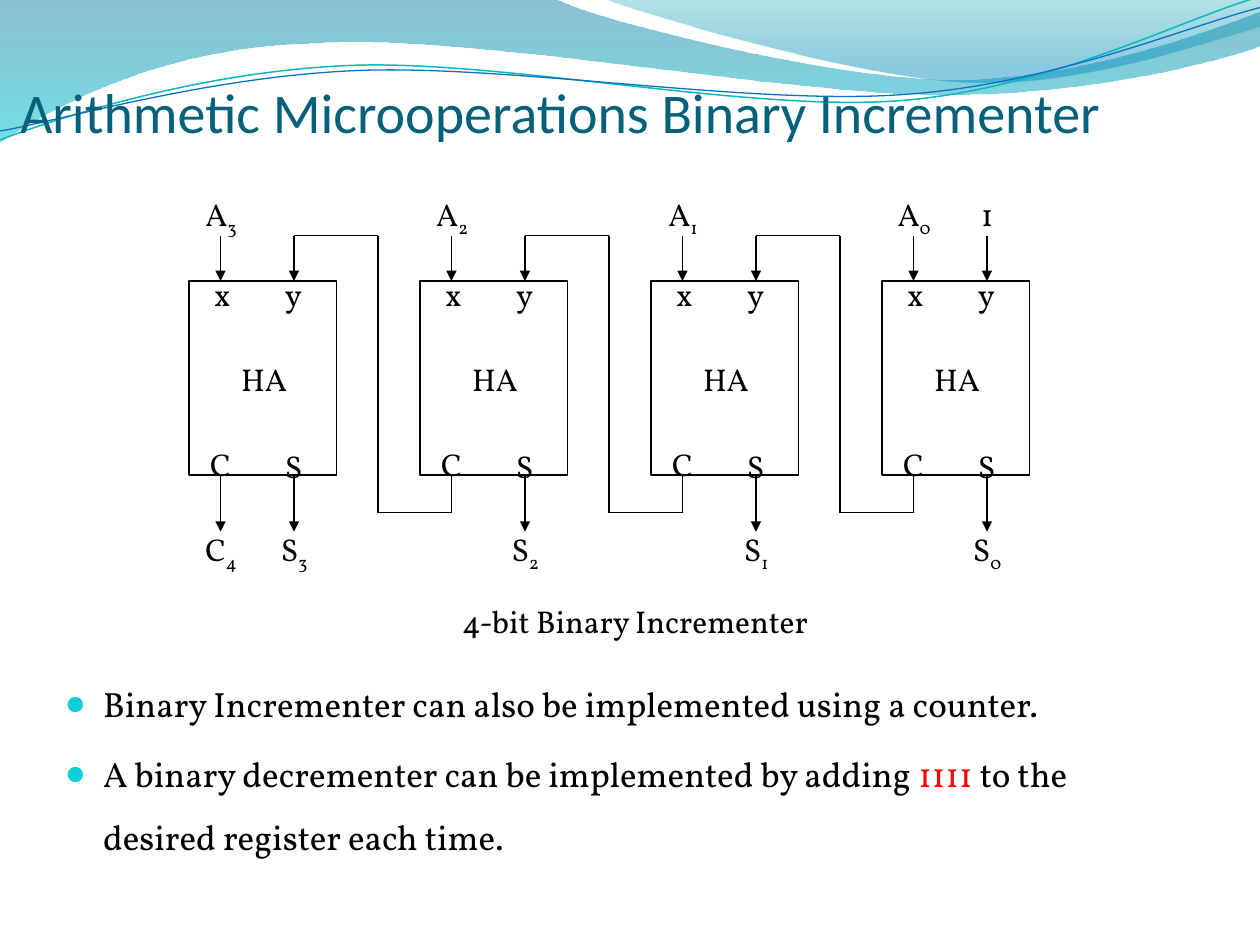
"""Build the slide on the 4-bit binary incrementer."""
from math import cos, radians, sin

from lxml import etree
from pptx import Presentation
from pptx.dml.color import RGBColor
from pptx.enum.shapes import MSO_CONNECTOR, MSO_SHAPE
from pptx.enum.text import MSO_ANCHOR, MSO_AUTO_SIZE, PP_ALIGN
from pptx.oxml.ns import qn
from pptx.util import Inches, Pt

COLORS = {
    "ink": "000000", "paper": "FFFFFF", "title": "04617B", "bullet": "0BD0D9",
    "accent": "FF0000", "teal_line": "0AB8BF", "blue_line": "0F6FC6",
    "wave_top": "0074A1", "wave_end": "00C6CF",
    "crest_top": "00A1A9", "crest_end": "008BBF",
}
RGB = {name: RGBColor.from_string(value) for name, value in COLORS.items()}
FONT = "Vollkorn"

prs = Presentation()
prs.slide_width, prs.slide_height = Inches(10), Inches(7.5)
slide = prs.slides.add_slide(prs.slide_layouts[6])
shapes = slide.shapes


def add_label(text, left, top, width, subscript=""):
    height = 0.46 if subscript else 0.39
    label = shapes.add_textbox(Inches(left), Inches(top), Inches(width), Inches(height))
    frame = label.text_frame
    frame.word_wrap = True
    frame.auto_size = MSO_AUTO_SIZE.SHAPE_TO_FIT_TEXT
    line = frame.paragraphs[0]
    line.text = text
    line.alignment = PP_ALIGN.CENTER
    if subscript:
        index = line.add_run()
        index.text = subscript
        index._r.get_or_add_rPr().set("baseline", "-25000")
    for run in line.runs:
        run.font.name, run.font.size = FONT, Pt(18)
        run.font.color.rgb = RGB["ink"]


def add_wire(points):
    segments = list(zip(points, points[1:]))
    for number, (start, end) in enumerate(segments, 1):
        wire = shapes.add_connector(MSO_CONNECTOR.STRAIGHT, *map(Inches, start + end))
        wire.line.color.rgb = RGB["ink"]
        wire.line.width = Pt(0.75)
        if number == len(segments):
            etree.SubElement(wire.line._get_or_add_ln(), qn("a:tailEnd"), type="triangle")
        etree.SubElement(wire._element.spPr, qn("a:effectLst"))


wave = [
    [(0, 0)], [(4.4, -0.01)],
    [(4.76, 0.17), (6.64, 0.63), (7.58, 0.63)], [(8.53, 0.63), (9.58, 0.26), (10, 0.09)],
    [(10.01, 0.36)],
    [(9.83, 0.44), (8.7, 0.76), (7.46, 0.75)], [(6.22, 0.75), (3.82, 0.28), (2.57, 0.34)],
    [(1.29, 0.36), (0.46, 0.83), (-0.01, 1.13)],
]
crest = [
    [(4.79, -0.01)], [(5.09, 0.11), (6.82, 0.62), (7.69, 0.65)],
    [(8.56, 0.69), (9.61, 0.32), (10, 0.21)], [(10, 0)],
]
teal_curve = [
    [(0, 1.11)], [(0.48, 0.93), (1.58, 0.57), (2.77, 0.52)],
    [(3.95, 0.47), (5.93, 0.89), (7.13, 0.8)], [(8.33, 0.71), (9.38, 0.15), (9.98, -0.02)],
]
blue_curve = [
    [(0, 1.04)], [(0.47, 0.96), (1.64, 0.61), (2.83, 0.56)],
    [(4.03, 0.51), (5.97, 0.84), (7.17, 0.75)], [(8.36, 0.67), (9.41, 0.21), (10, 0.06)],
]
ribbons = [
    (wave, 0, [("wave_top", 0, 45), ("wave_end", 1, 55)], None),
    (crest, 0, [("crest_top", 0, 30), ("crest_end", 0.8, 45)], None),
    (teal_curve, 2.7, None, ("teal_line", 0.85)),
    (blue_curve, 2.7, None, ("blue_line", 0.75)),
]
CENTER_X, CENTER_Y = 4.99, 0.58
for pieces, tilt, gradient, stroke in ribbons:
    cosine, sine = cos(radians(tilt)), sin(radians(tilt))
    level = [
        [(Inches(CENTER_X + (x - CENTER_X) * cosine - (y - CENTER_Y) * sine),
          Inches(CENTER_Y + (x - CENTER_X) * sine + (y - CENTER_Y) * cosine))
         for x, y in piece]
        for piece in pieces
    ]
    anchors = [piece[-1] for piece in level]
    builder = shapes.build_freeform(*anchors[0])
    builder.add_line_segments(anchors[1:], close=gradient is not None)
    ribbon = builder.convert_to_shape()
    ribbon.shadow.inherit = False
    for piece, segment in zip(level[1:], list(ribbon._element.iter(qn("a:lnTo")))):
        if len(piece) == 3:
            bend = etree.Element(qn("a:cubicBezTo"))
            for x, y in piece:
                etree.SubElement(bend, qn("a:pt"), x=str(x - ribbon.left), y=str(y - ribbon.top))
            segment.getparent().replace(segment, bend)
    ribbon.rotation = -tilt
    if gradient:
        ribbon.line.fill.background()
        ribbon.fill.gradient()
        ribbon.fill.gradient_angle = 270
        for stop, (name, position, opacity) in zip(ribbon.fill.gradient_stops, gradient):
            stop.position = position
            stop.color.rgb = RGB[name]
            tint = stop._gs.find(qn("a:srgbClr"))
            etree.SubElement(tint, qn("a:alpha"), val=str(opacity * 1000))
    else:
        ribbon.fill.background()
        ribbon.line.color.rgb = RGB[stroke[0]]
        ribbon.line.width = Pt(stroke[1])

title = shapes.add_textbox(Inches(0.16), Inches(0.67), Inches(9.63), Inches(0.48)).text_frame
title.word_wrap = True
title.vertical_anchor = MSO_ANCHOR.BOTTOM
title.margin_left = title.margin_right = title.margin_bottom = 0
title.text = "Arithmetic Microoperations Binary Incrementer"
heading = title.paragraphs[0].runs[0].font
heading.name, heading.size = "Calibri", Pt(32)
heading.color.rgb = RGB["title"]

FIRST, PITCH = 1.5, 5.5 / 3
TOP, BOTTOM = 2.23, 3.78
FEED, CARRY, OUT = 1.87, 4.07, 4.22
for bit in range(4):
    left = FIRST + (3 - bit) * PITCH
    x_pin, y_pin = left + 0.25, left + 2.5 / 3
    adder = shapes.add_shape(
        MSO_SHAPE.RECTANGLE, Inches(left), Inches(TOP), Inches(1.17), Inches(1.54))
    adder.shadow.inherit = False
    adder.fill.solid()
    adder.fill.fore_color.rgb = RGB["paper"]
    adder.line.color.rgb = RGB["ink"]
    adder.line.width = Pt(0.75)

    add_wire([(x_pin, FEED), (x_pin, TOP)])
    add_wire([(y_pin, BOTTOM), (y_pin, OUT)])
    if bit == 0:
        add_wire([(y_pin, FEED), (y_pin, TOP)])
        add_label("1", left + 0.5, 1.5, 0.67)
    if bit == 3:
        add_wire([(x_pin, BOTTOM), (x_pin, OUT)])
        add_label("C", left - 0.08, 4.16, 0.67, "4")
    else:
        riser, next_y = left - 1 / 3, y_pin - PITCH
        add_wire([(x_pin, BOTTOM), (x_pin, CARRY), (riser, CARRY),
                  (riser, FEED), (next_y, FEED), (next_y, TOP)])

    add_label("x", left + 0.1, 2.13, 0.33)
    add_label("y", left + 0.58, 2.13, 0.5)
    add_label("HA", left + 0.22, 2.81, 0.75)
    add_label("C", left, 3.48, 0.5)
    add_label("S", left + 0.58, 3.5, 0.5)
    add_label("A", left - 0.08, 1.5, 0.67, str(bit))
    add_label("S", left + 0.5, 4.16, 0.67, str(bit))

add_label("4-bit Binary Incrementer", 2, 4.73, 6.08)

remarks = [
    [("Binary Incrementer can also be implemented using a counter.", "ink")],
    [("A binary decrementer can be implemented by adding ", "ink"), ("1111", "accent"),
     (" to the desired register each time.", "ink")],
]
body = shapes.add_textbox(Inches(0.42), Inches(5.2), Inches(9), Inches(1.97)).text_frame
body.word_wrap = True
for number, remark in enumerate(remarks):
    point = body.add_paragraph() if number else body.paragraphs[0]
    point.line_spacing = 1.5
    point.space_before = Pt(4)
    for words, color in remark:
        run = point.add_run()
        run.text = words
        run.font.name, run.font.size = FONT, Pt(20)
        run.font.color.rgb = RGB[color]
    layout = point._p.get_or_add_pPr()
    layout.set("marL", str(Inches(0.3)))
    layout.set("indent", str(Inches(-0.3)))
    bullet_color = etree.SubElement(layout, qn("a:buClr"))
    etree.SubElement(bullet_color, qn("a:srgbClr"), val=COLORS["bullet"])
    etree.SubElement(layout, qn("a:buSzPct"), val="95000")
    etree.SubElement(layout, qn("a:buFont"), typeface="Calibri")
    etree.SubElement(layout, qn("a:buChar"), char="●")

prs.save("out.pptx")
